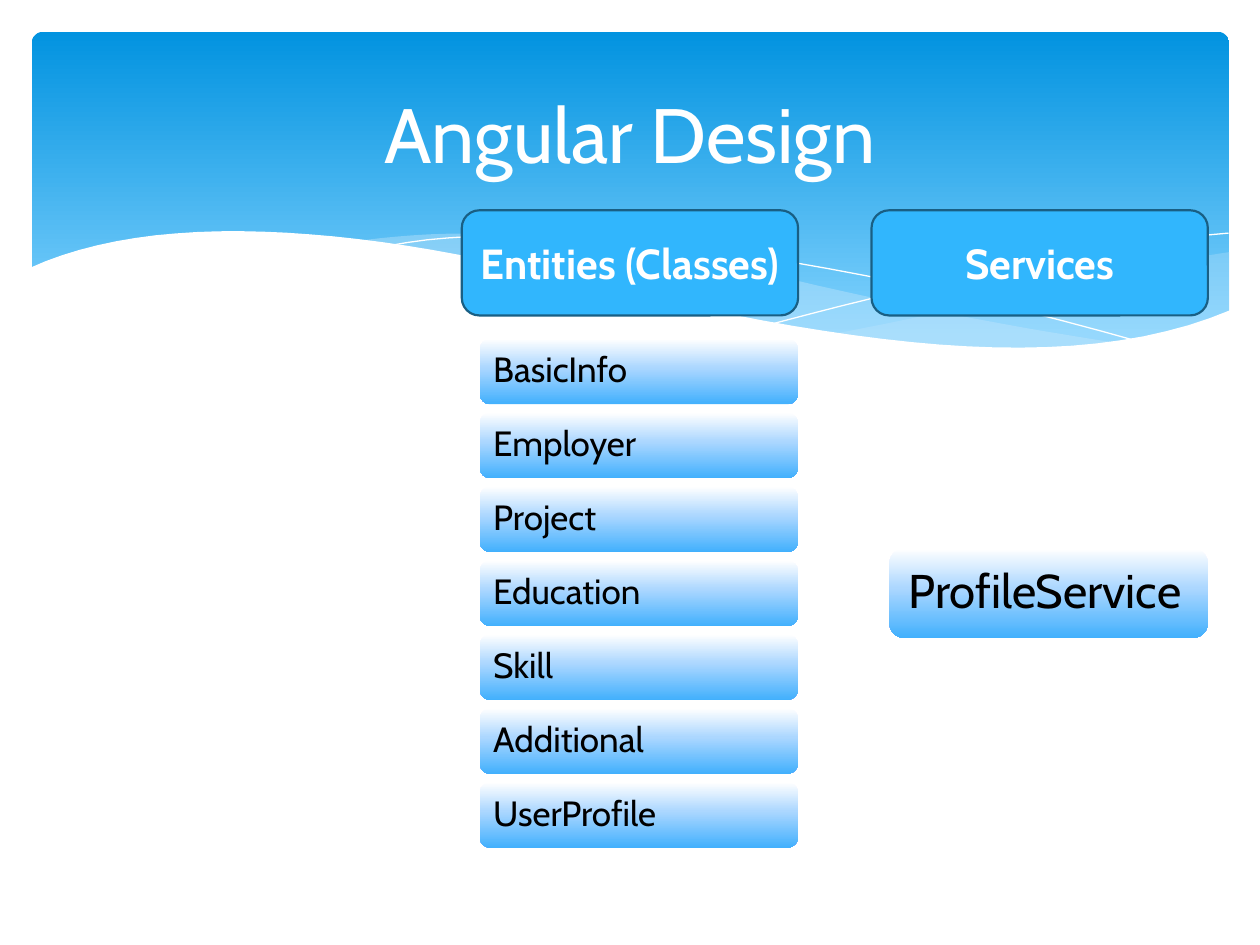
from lxml import etree
from pptx import Presentation
from pptx.dml.color import RGBColor
from pptx.enum.shapes import MSO_SHAPE
from pptx.enum.text import MSO_ANCHOR, PP_ALIGN
from pptx.oxml.ns import qn
from pptx.util import Cm, Pt

ROUND = MSO_SHAPE.ROUNDED_RECTANGLE
MIDDLE = MSO_ANCHOR.MIDDLE
LEFT, CENTER = PP_ALIGN.LEFT, PP_ALIGN.CENTER

WHITE = RGBColor(0xFF, 0xFF, 0xFF)
BLACK = RGBColor(0x00, 0x00, 0x00)
DEEP_BLUE = RGBColor(0x02, 0x93, 0xE0)
SKY = RGBColor(0x83, 0xD3, 0xFE)
PALE_BLUE = RGBColor(0xC6, 0xE7, 0xFC)
HEADER_BLUE = RGBColor(0x31, 0xB6, 0xFD)
HEADER_EDGE = RGBColor(0x19, 0x5F, 0x84)
ITEM_MID = RGBColor(0xAC, 0xD7, 0xFF)
ITEM_END = RGBColor(0x42, 0xB0, 0xFD)

BANNER_STOPS = [(0, DEEP_BLUE), (90, SKY)]
ITEM_STOPS = [(0, WHITE), (44, ITEM_MID), (100, ITEM_END)]
FONT = "Cabin"


def set_gradient(sp, stops):
    sp.fill.gradient()
    sp.fill.gradient_angle = 270
    gs_list = sp.element.spPr.find(qn("a:gradFill")).find(qn("a:gsLst"))
    for gs in list(gs_list):
        gs_list.remove(gs)
    for percent, color in stops:
        gs = etree.SubElement(gs_list, qn("a:gs"), pos=str(percent * 1000))
        etree.SubElement(gs, qn("a:srgbClr"), val=str(color))


def set_text(sp, text, size, color, align, bold=False):
    tf = sp.text_frame
    tf.text = text
    tf.word_wrap = True
    tf.vertical_anchor = MIDDLE
    p = tf.paragraphs[0]
    p.alignment = align
    font = p.runs[0].font
    font.name, font.size, font.bold = FONT, Pt(size), bold
    font.color.rgb = color


prs = Presentation()
prs.slide_width, prs.slide_height = Cm(25.4), Cm(19.05)
s = prs.slides.add_slide(prs.slide_layouts[5])

banner = s.shapes.add_shape(ROUND, Cm(0.64), Cm(0.64), Cm(24.14), Cm(6.86))
banner.adjustments[0] = 0.034
banner.shadow.inherit = False
banner.line.fill.background()
set_gradient(banner, BANNER_STOPS)

WAVE_UNIT = Cm(0.0254)
SUBUNITS = 10
CURVE_STEPS = 24

# Each curve is (first control, second control, end), starting at the last end.
right_wave = [((901, 211), (761, 247), (661, 265)),
              ((781, 282), (880, 286), (976, 247))]
middle_wave = [((809, 261), (714, 242), (629, 222)),
               ((509, 192), (396, 176), (286, 191)),
               ((341, 198), (395, 209), (449, 222)),
               ((620, 263), (775, 290), (893, 273))]
long_curve = [((420, 173), (640, 196), (907, 272))]
short_curve = [((715, 230), (862, 194), (975, 185))]
front_wave = [((123, 167), (277, 179), (447, 220)),
              ((667, 273), (847, 301), (977, 246))]
front_corners = [(977, 329), (23, 329)]

waves = [
    ((976, 200), right_wave, [], PALE_BLUE, 29),
    ((893, 273), middle_wave, [], PALE_BLUE, 40),
    ((309, 195), long_curve, [], None, None),
    ((613, 257), short_curve, [], None, None),
    ((23, 213), front_wave, front_corners, WHITE, 100),
]
for start, curves, corners, color, opacity in waves:
    points = [start]
    for control1, control2, end in curves:
        origin = points[-1]
        for step in range(1, CURVE_STEPS + 1):
            t = step / CURVE_STEPS
            u = 1 - t
            points.append(tuple(
                u**3 * a + 3 * u**2 * t * b + 3 * u * t**2 * c + t**3 * d
                for a, b, c, d in zip(origin, control1, control2, end)))
    points = [(x * SUBUNITS, y * SUBUNITS) for x, y in points + corners]

    builder = s.shapes.build_freeform(*points[0], scale=WAVE_UNIT / SUBUNITS)
    builder.add_line_segments(points[1:], close=color is not None)
    sp = builder.convert_to_shape()
    sp.shadow.inherit = False
    if color is None:
        sp.fill.background()
        sp.line.color.rgb = WHITE
        sp.line.width = Pt(0)
        continue
    sp.line.fill.background()
    sp.fill.solid()
    sp.fill.fore_color.rgb = color
    if opacity < 100:
        clr = sp.element.spPr.find(qn("a:solidFill")).find(qn("a:srgbClr"))
        etree.SubElement(clr, qn("a:alpha"), val=str(opacity * 1000))

title = s.shapes.title
s.shapes.element.append(title.element)
title.left, title.top = Cm(1.27), Cm(0.94)
title.width, title.height = Cm(22.86), Cm(3.48)
set_text(title, "Angular Design", 44, WHITE, CENTER)

HEADER_TOP, HEADER_WIDTH, HEADER_HEIGHT = 4.24, 6.78, 2.12
ITEM_INDENT = 0.36
ITEM_WIDTH = HEADER_WIDTH - ITEM_INDENT
ITEM_PITCH = 1.49
ITEMS_MIDDLE = 11.96

entities = ["BasicInfo", "Employer", "Project", "Education", "Skill",
            "Additional", "UserProfile"]
services = ["ProfileService"]
columns = [
    ("Entities (Classes)", 9.31, entities, 1.32, 20, 0.21),
    ("Services", 17.57, services, 1.8, 27, 0.3),
]
for heading, left, items, height, size, margin in columns:
    top = ITEMS_MIDDLE - ((len(items) - 1) * ITEM_PITCH + height) / 2
    for i, item in enumerate(items):
        sp = s.shapes.add_shape(ROUND, Cm(left + ITEM_INDENT),
                                Cm(top + i * ITEM_PITCH),
                                Cm(ITEM_WIDTH), Cm(height))
        sp.shadow.inherit = False
        sp.line.fill.background()
        set_gradient(sp, ITEM_STOPS)
        set_text(sp, item, size, BLACK, LEFT)
        tf = sp.text_frame
        tf.margin_left = tf.margin_right = Cm(margin)
        tf.margin_top = tf.margin_bottom = Cm(0.2)
        tf.paragraphs[0].line_spacing = 0.9

    sp = s.shapes.add_shape(ROUND, Cm(left), Cm(HEADER_TOP),
                            Cm(HEADER_WIDTH), Cm(HEADER_HEIGHT))
    sp.shadow.inherit = False
    sp.fill.solid()
    sp.fill.fore_color.rgb = HEADER_BLUE
    sp.line.color.rgb = HEADER_EDGE
    sp.line.width = Pt(1.25)
    set_text(sp, heading, 24, WHITE, CENTER, bold=True)

prs.save("out.pptx")
